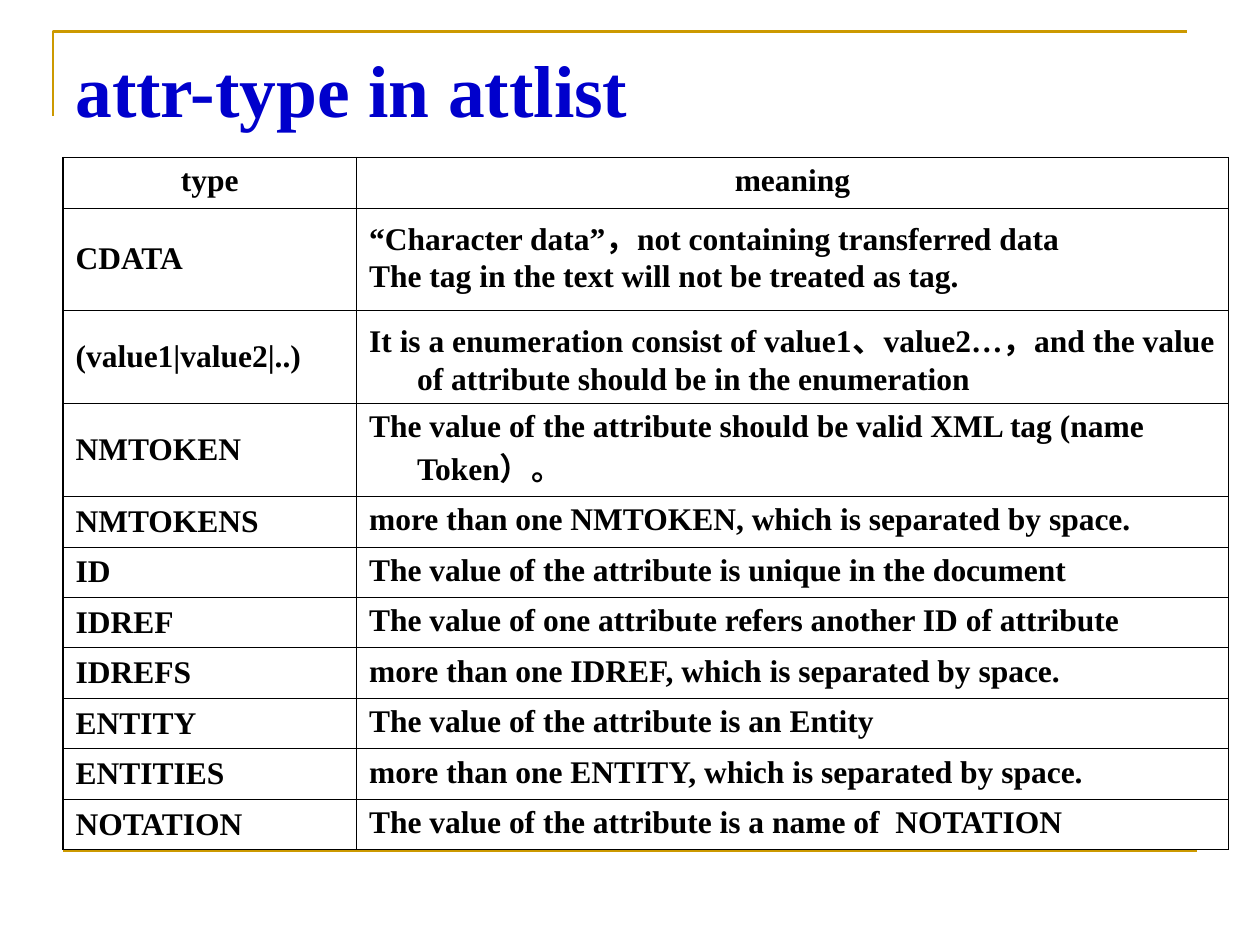
"""Build the slide that lists the attribute types of an attlist."""
from lxml import etree
from pptx import Presentation
from pptx.dml.color import RGBColor
from pptx.enum.shapes import MSO_CONNECTOR
from pptx.enum.text import MSO_ANCHOR, PP_ALIGN
from pptx.oxml.ns import qn
from pptx.util import Pt

PX = 9144
STRAIGHT = MSO_CONNECTOR.STRAIGHT
TOP, MIDDLE = MSO_ANCHOR.TOP, MSO_ANCHOR.MIDDLE
LEFT, CENTER = PP_ALIGN.LEFT, PP_ALIGN.CENTER
GOLD = RGBColor(0xCC, 0x99, 0x00)
BLUE = RGBColor(0x00, 0x00, 0xCC)
BLACK = RGBColor(0x00, 0x00, 0x00)
FONT = "Times New Roman"
OUTER, INNER = Pt(0.96), Pt(0.45)
HANGING = 38 * PX

TITLE = "attr-type in attlist"
ROWS = [
    (40, "type", "meaning"),
    (81, "CDATA", "“Character data”，not containing transferred data\n"
                  "The tag in the text will not be treated as tag."),
    (74, "(value1|value2|..)", "It is a enumeration consist of value1、value2…，and the "
                               "value of attribute should be in the enumeration"),
    (74, "NMTOKEN", "The value of the attribute should be valid XML tag (name Token）。"),
    (40, "NMTOKENS", "more than one NMTOKEN, which is separated by space."),
    (40, "ID", "The value of the attribute is unique in the document"),
    (40, "IDREF", "The value of one attribute refers another ID of attribute"),
    (40, "IDREFS", "more than one IDREF, which is separated by space."),
    (40, "ENTITY", "The value of the attribute is an Entity"),
    (40, "ENTITIES", "more than one ENTITY, which is separated by space."),
    (40, "NOTATION", "The value of the attribute is a name of  NOTATION"),
]
COLUMN_WIDTHS = (233, 692)
TABLE_LEFT, TABLE_TOP = 50, 125
CORNER = [(42, 92), (42, 25), (942, 25)]
RULE = (50, 675, 950, 675)
TITLE_BOX = (50, 30, 900, 125)


def scaled(lengths):
    return [length * PX for length in lengths]


def style_font(paragraph, size, color):
    font = paragraph.font
    font.name, font.size, font.bold = FONT, Pt(size), True
    font.color.rgb = color


def style_line(shape):
    shape.line.color.rgb = GOLD
    shape.line.width = Pt(1.5)


def add_frame(slide):
    builder = slide.shapes.build_freeform(*CORNER[0], scale=PX)
    builder.add_line_segments(CORNER[1:], close=False)
    corner = builder.convert_to_shape()
    corner.fill.background()
    corner.shadow.inherit = False
    style_line(corner)
    rule = slide.shapes.add_connector(STRAIGHT, *scaled(RULE))
    etree.SubElement(rule._element.spPr, qn("a:effectLst"))
    style_line(rule)


def add_title(slide):
    frame = slide.shapes.add_textbox(*scaled(TITLE_BOX)).text_frame
    frame.word_wrap = True
    frame.vertical_anchor = TOP
    frame.margin_top = 5 * PX
    frame.text = TITLE
    style_font(frame.paragraphs[0], 42, BLUE)


def set_borders(cell, widths):
    properties = cell._tc.get_or_add_tcPr()
    for position, (side, width) in enumerate(zip(("lnL", "lnR", "lnT", "lnB"), widths)):
        border = etree.Element(qn(f"a:{side}"), w=str(int(width)))
        fill = etree.SubElement(border, qn("a:solidFill"))
        etree.SubElement(fill, qn("a:srgbClr"), val=str(BLACK))
        properties.insert(position, border)


def fill_cell(cell, text, row, column):
    cell.text = text
    cell.fill.background()
    cell.vertical_anchor = MIDDLE if row and column == 0 else TOP
    for paragraph in cell.text_frame.paragraphs:
        paragraph.alignment = LEFT if row else CENTER
        properties = paragraph._p.get_or_add_pPr()
        properties.set("marL", str(HANGING))
        properties.set("indent", str(-HANGING))
        style_font(paragraph, 18, BLACK)
    on_edge = (column == 0, column == len(COLUMN_WIDTHS) - 1, row == 0, row == len(ROWS) - 1)
    set_borders(cell, [OUTER if edge else INNER for edge in on_edge])


def add_type_table(slide):
    size = sum(COLUMN_WIDTHS), sum(row[0] for row in ROWS)
    table = slide.shapes.add_table(len(ROWS), len(COLUMN_WIDTHS),
                                   *scaled((TABLE_LEFT, TABLE_TOP, *size))).table
    table.first_row = table.horz_banding = False
    for column, width in zip(table.columns, COLUMN_WIDTHS):
        column.width = width * PX
    for row, (height, *texts) in enumerate(ROWS):
        table.rows[row].height = height * PX
        for column, text in enumerate(texts):
            fill_cell(table.cell(row, column), text, row, column)


def main():
    presentation = Presentation()
    presentation.slide_width, presentation.slide_height = scaled((1000, 750))
    slide = presentation.slides.add_slide(presentation.slide_layouts[6])
    add_frame(slide)
    add_title(slide)
    add_type_table(slide)
    presentation.save("out.pptx")


if __name__ == "__main__":
    main()
